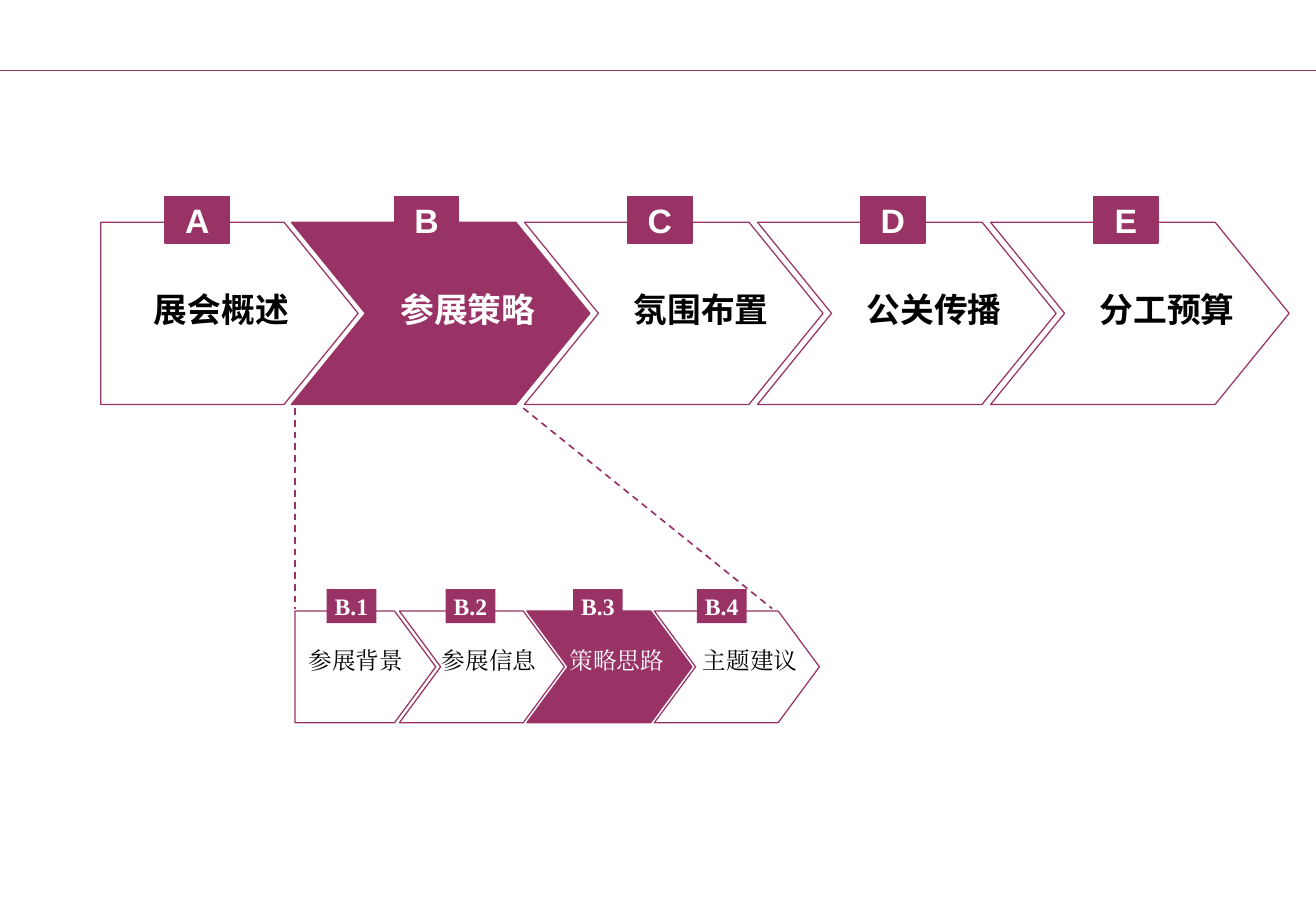
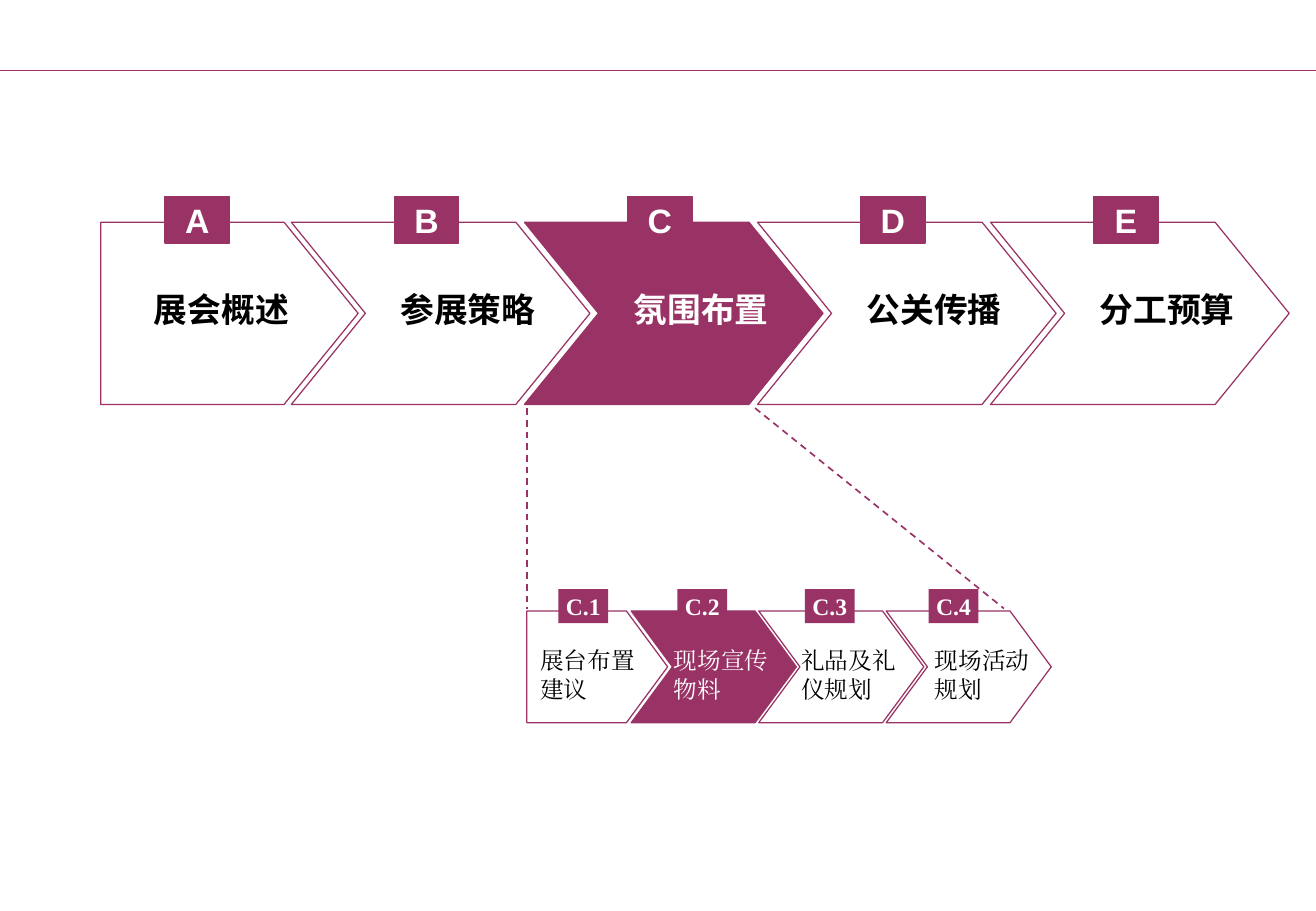
"""Build two agenda slides: a five-step flow with one step opened up."""
from dataclasses import dataclass

from lxml.etree import SubElement
from pptx import Presentation
from pptx.dml.color import RGBColor
from pptx.enum.dml import MSO_LINE
from pptx.enum.shapes import MSO_CONNECTOR, MSO_SHAPE
from pptx.enum.text import MSO_ANCHOR, MSO_AUTO_SIZE, PP_ALIGN
from pptx.oxml.ns import qn
from pptx.slide import Slide
from pptx.text.text import TextFrame
from pptx.util import Emu, Pt

PX = 9144
WIDE, HIGH = 1084, 750
PLUM = RGBColor(0x99, 0x33, 0x66)
WHITE = RGBColor(0xFF, 0xFF, 0xFF)
BLACK = RGBColor(0x00, 0x00, 0x00)
SANS, HAN, SERIF = "Arial", "Noto Sans CJK SC", "Times New Roman"


@dataclass(frozen=True)
class Style:
    """Look of one row of arrows."""
    top: int
    high: int
    tip: int
    tab_top: int
    tab_wide: int
    tab_high: int
    tab_font: str
    text_top: int
    text_high: int
    text_font: str
    size: int
    bold: bool
    pad_x: int
    pad_y: int
    before: float
    fill: RGBColor | None
    edge: bool


@dataclass(frozen=True)
class Slot:
    """Place of one arrow, its tab and its text."""
    left: int
    wide: int
    tab: int
    text: int
    room: int
    notch: bool = True


@dataclass(frozen=True)
class Page:
    """One slide: the open step, its topics and the topic in focus."""
    step: int
    left: int
    topics: tuple[str, ...]
    focus: int
    text_high: int


MAIN = Style(183, 150, 61, 162, 53, 38, SANS, 233, 44, HAN, 20, True,
             10, 5, 12.5, WHITE, True)
STEPS = ("展会概述", "参展策略", "氛围布置", "公关传播", "分工预算")
STEP_SLOTS = [Slot(83, 212, 53, 34, 136, False)] + [
    Slot(240 + 192 * k, 246, 85, 80, 160) for k in range(4)]
TOPIC_SLOTS = [Slot(0, 116, 26, 11, 91, False)] + [
    Slot(86 + 105 * k, 136, tab, text, 91)
    for k, (tab, text) in enumerate(((38, 35), (38, 35), (35, 40)))]
PAGES = (
    Page(1, 243, ("参展背景", "参展信息", "策略思路", "主题建议"), 2, 23),
    Page(2, 434, ("展台布置建议", "现场宣传物料", "礼品及礼仪规划",
                  "现场活动规划"), 1, 47),
)


def px(*nums: int) -> list[Emu]:
    """Turn px into EMU."""
    return [Emu(num * PX) for num in nums]


def write(frame: TextFrame, words: str, font: str, size: int, bold: bool,
          ink: RGBColor) -> None:
    """Add one run to the first paragraph of a frame."""
    run = frame.paragraphs[0].add_run()
    run.text = words
    run.font.name, run.font.size, run.font.bold = font, Pt(size), bold
    run.font.color.rgb = ink
    SubElement(run.font._element, qn("a:ea"), typeface=font)


def pad(frame: TextFrame, x: int, y: int) -> None:
    """Set the insets of a frame."""
    frame.margin_left, frame.margin_right = px(x, x)
    frame.margin_top, frame.margin_bottom = px(y, y)


def draw_line(slide: Slide, ends: tuple[int, int, int, int], width: float,
              dash: bool = False) -> None:
    """Draw a straight plum line."""
    line = slide.shapes.add_connector(MSO_CONNECTOR.STRAIGHT, *px(*ends))
    line.line.color.rgb, line.line.width = PLUM, Pt(width)
    if dash:
        line.line.dash_style = MSO_LINE.DASH
    SubElement(line._element.spPr, qn("a:effectLst"))


def draw_arrow(slide: Slide, style: Style, slot: Slot, left: int,
               fill: RGBColor | None) -> None:
    """Draw the outline of an arrow, with or without a notch."""
    right, mid = left + slot.wide, style.top + style.high // 2
    base = style.top + style.high
    points = [(right - style.tip, style.top), (right, mid),
              (right - style.tip, base), (left, base)]
    if slot.notch:
        points.append((left + style.tip, mid))
    pen = slide.shapes.build_freeform(left, style.top, scale=PX)
    pen.add_line_segments(points, close=True)
    arrow = pen.convert_to_shape()
    arrow.shadow.inherit = False
    if fill is None:
        arrow.fill.background()
    else:
        arrow.fill.solid()
        arrow.fill.fore_color.rgb = fill
    arrow.line.color.rgb, arrow.line.width = PLUM, Pt(0.75)


def draw_tab(slide: Slide, style: Style, left: int, mark: str) -> None:
    """Draw the plum tab that holds a mark."""
    tab = slide.shapes.add_shape(MSO_SHAPE.RECTANGLE, *px(
        left, style.tab_top, style.tab_wide, style.tab_high))
    tab.shadow.inherit = False
    tab.fill.solid()
    tab.fill.fore_color.rgb = PLUM
    if style.edge:
        tab.line.color.rgb, tab.line.width = PLUM, Pt(0.75)
    else:
        tab.line.fill.background()
    frame = tab.text_frame
    frame.word_wrap, frame.vertical_anchor = False, MSO_ANCHOR.MIDDLE
    pad(frame, 0, 0)
    frame.paragraphs[0].alignment = PP_ALIGN.CENTER
    write(frame, mark, style.tab_font, style.size, True, WHITE)


def draw_text(slide: Slide, style: Style, left: int, room: int, words: str,
              ink: RGBColor) -> None:
    """Place the words of an arrow."""
    box = slide.shapes.add_textbox(*px(
        left, style.text_top, room, style.text_high))
    frame = box.text_frame
    frame.word_wrap, frame.auto_size = True, MSO_AUTO_SIZE.SHAPE_TO_FIT_TEXT
    pad(frame, style.pad_x, style.pad_y)
    frame.paragraphs[0].space_before = Pt(style.before)
    write(frame, words, style.text_font, style.size, style.bold, ink)


def draw_row(slide: Slide, style: Style, slots: list[Slot], left: int,
             words: tuple[str, ...], marks: list[str], focus: int) -> None:
    """Draw a row of arrows with one in focus."""
    for k, (slot, label, mark) in enumerate(zip(slots, words, marks)):
        x, lit = left + slot.left, k == focus
        draw_arrow(slide, style, slot, x, PLUM if lit else style.fill)
        draw_tab(slide, style, x + slot.tab, mark)
        draw_text(slide, style, x + slot.text, slot.room, label,
                  WHITE if lit else BLACK)


def draw_page(slide: Slide, page: Page) -> None:
    """Draw one whole slide."""
    draw_line(slide, (0, 58, WIDE, 58), 0.75)
    draw_row(slide, MAIN, STEP_SLOTS, 0, STEPS, list("ABCDE"), page.step)
    for start, end in ((0, 0), (188, 393)):
        draw_line(slide, (page.left + start, 336, page.left + end, 501),
                  1, True)
    style = Style(503, 92, 34, 485, 41, 28, SERIF, 532, page.text_high,
                  SERIF, 14, False, 0, 0, 0, None, False)
    marks = [f"{'ABCDE'[page.step]}.{k + 1}" for k in range(len(page.topics))]
    draw_row(slide, style, TOPIC_SLOTS, page.left, page.topics, marks,
             page.focus)


def main() -> None:
    """Build and save the deck."""
    deck = Presentation()
    deck.slide_width, deck.slide_height = px(WIDE, HIGH)
    for page in PAGES:
        draw_page(deck.slides.add_slide(deck.slide_layouts[6]), page)
    deck.save("out.pptx")


if __name__ == "__main__":
    main()
